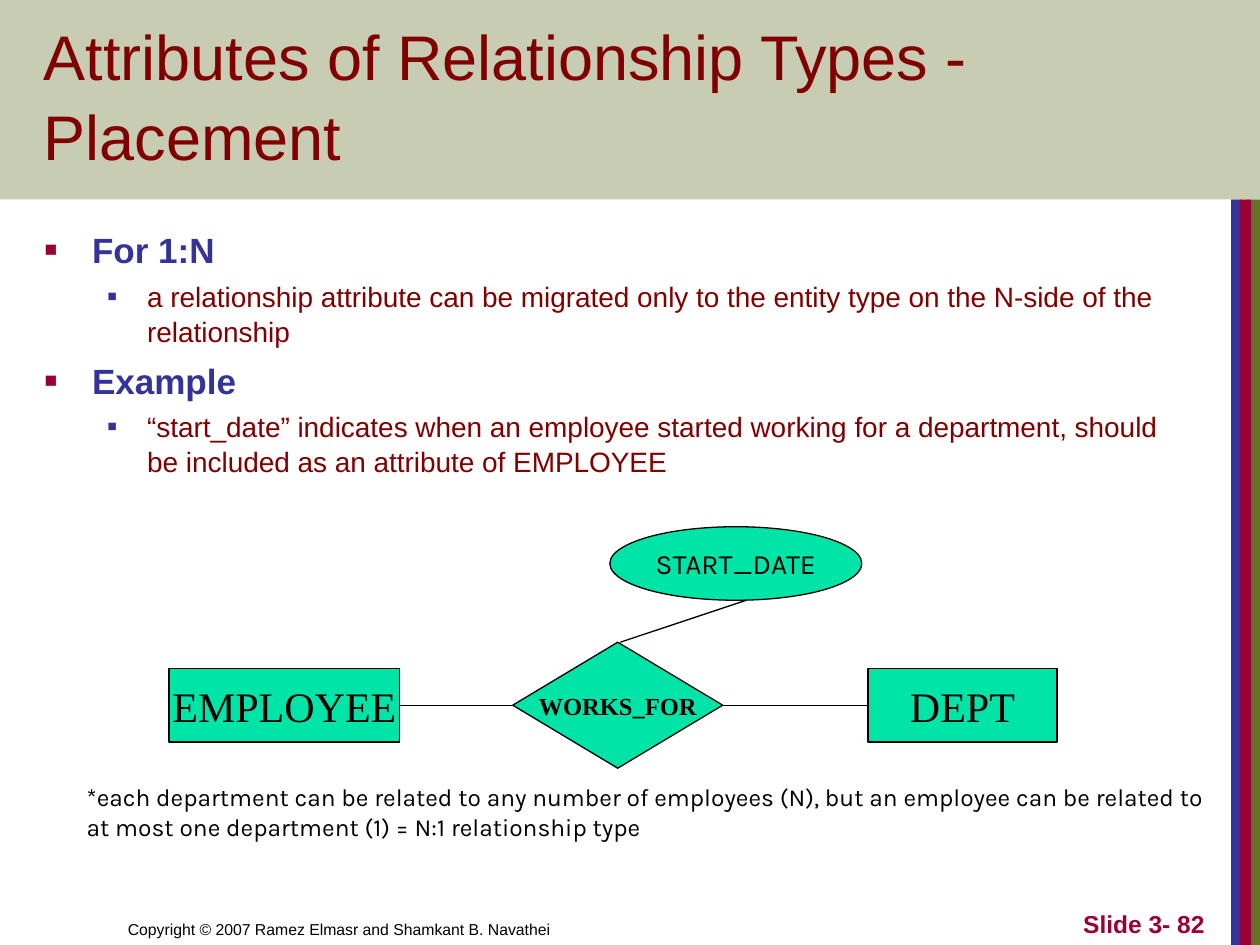
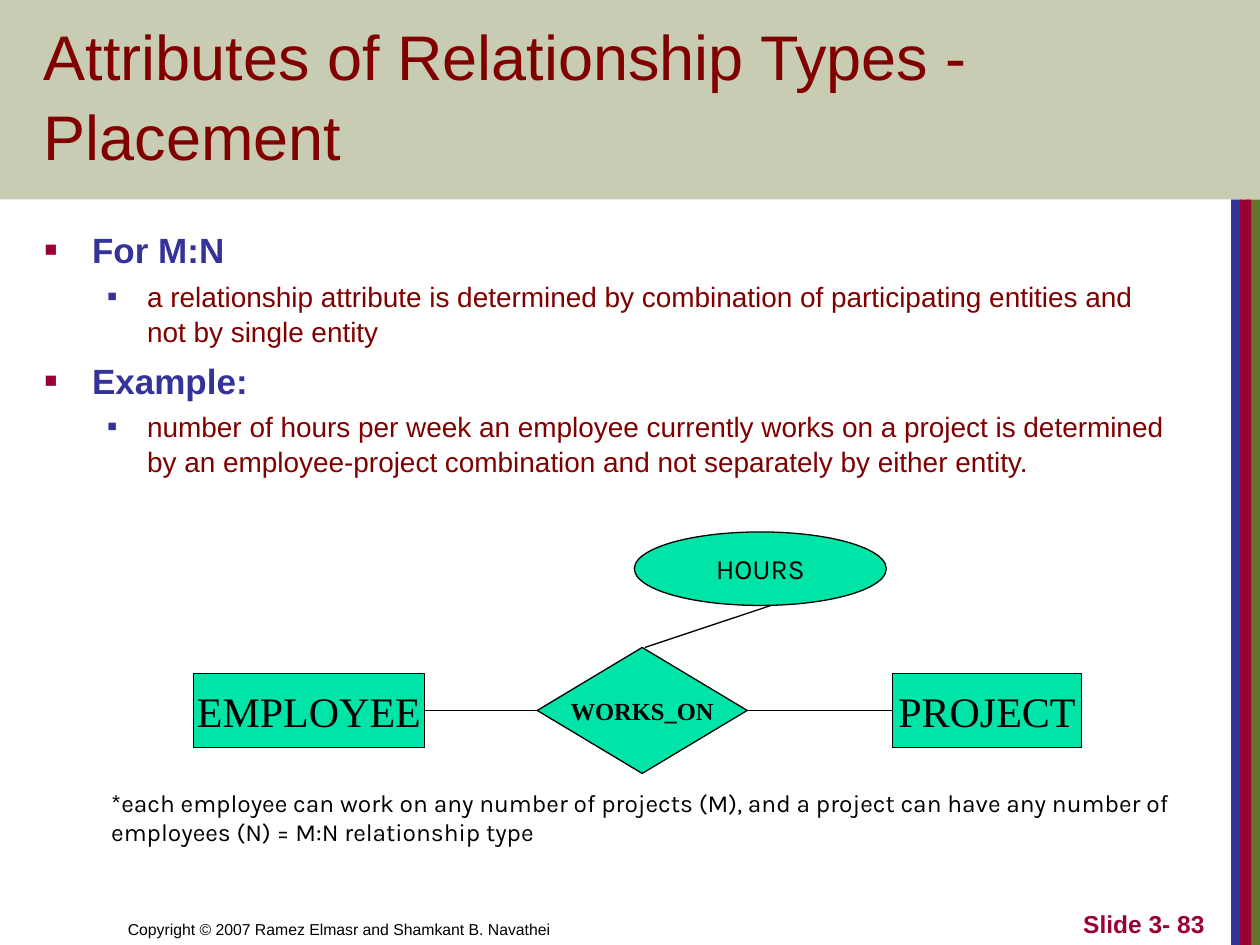
from dataclasses import dataclass

from lxml import etree
from pptx import Presentation
from pptx.dml.color import RGBColor
from pptx.enum.shapes import MSO_CONNECTOR, MSO_SHAPE
from pptx.enum.text import MSO_ANCHOR, PP_ALIGN
from pptx.oxml.ns import qn
from pptx.util import Pt

RECT, OVAL, GEM = MSO_SHAPE.RECTANGLE, MSO_SHAPE.OVAL, MSO_SHAPE.DIAMOND
LINE = MSO_CONNECTOR.STRAIGHT
TOP, MIDDLE, BOTTOM = MSO_ANCHOR.TOP, MSO_ANCHOR.MIDDLE, MSO_ANCHOR.BOTTOM
LEFT, CENTER, RIGHT = PP_ALIGN.LEFT, PP_ALIGN.CENTER, PP_ALIGN.RIGHT


@dataclass(frozen=True)
class Font:
    """Hold the face, size, colour and weight of a text style."""
    face: str
    size: float
    color: str
    bold: bool = False


@dataclass(frozen=True)
class Level:
    """Hold the font, indents, spacing and bullet of a list level."""
    font: Font
    margin: float
    hang: float
    before: float
    color: str
    scale: int


@dataclass(frozen=True)
class Theme:
    """Hold the colours and type styles that the slides share."""
    olive: str = "677228"
    blue: str = "333399"
    red: str = "990033"
    band: str = "C8CCB2"
    mint: str = "00E4A8"
    ink: str = "000000"
    rule: float = 0.75
    lead: float = 1.05
    title: Font = Font("Arial", 36, "800000")
    credit: Font = Font("Arial", 9, "000000")
    number: Font = Font("Arial", 14, "990033", True)
    entity: Font = Font("Times New Roman", 24, "000000")
    link: Font = Font("Times New Roman", 14, "000000", True)
    field: Font = Font("Karla", 16, "000000")
    note: Font = Font("Karla", 14, "000000")
    head: Level = Level(Font("Arial", 20, "333399", True), 27, 27, 5, "990033", 60)
    point: Level = Level(Font("Arial", 16, "800000"), 58.5, 22.5, 4, "333399", 55)


THEME = Theme()
TITLE = "Attributes of Relationship Types - Placement"
CREDIT = "Copyright © 2007 Ramez Elmasr and Shamkant B. Navathei"

SLIDES = [
    dict(
        number=82, shift=(0, 0), left="EMPLOYEE", link="WORKS_FOR",
        right="DEPT", field="START_DATE",
        topics=[
            ("For 1:N", "a relationship attribute can be migrated only to the "
             "entity type on the N-side of the relationship"),
            ("Example", "“start_date” indicates when an employee started working "
             "for a department, should be included as an attribute of EMPLOYEE"),
        ],
        note="*each department can be related to any number of employees (N), but "
             "an employee can be related to at most one department (1) = N:1 "
             "relationship type",
    ),
    dict(
        number=83, shift=(14, 3), left="EMPLOYEE", link="WORKS_ON",
        right="PROJECT", field="HOURS",
        topics=[
            ("For M:N", "a relationship attribute is determined by combination of "
             "participating entities and not by single entity"),
            ("Example:", "number of hours per week an employee currently works on "
             "a project is determined by an employee-project combination and not "
             "separately by either entity."),
        ],
        note="*each employee can work on any number of projects (M), and a project "
             "can have any number of employees (N) = M:N relationship type",
    ),
]


def points(values):
    """Turn plain numbers into point lengths."""
    return [Pt(value) for value in values]


def style(para, font, align=LEFT):
    """Format every run of a paragraph."""
    para.alignment = align
    for run in para.runs:
        run.font.name = font.face
        run.font.size = Pt(font.size)
        run.font.bold = font.bold
        run.font.color.rgb = RGBColor.from_string(font.color)


def add_box(slide, box, anchor=TOP):
    """Add an empty wrapping text box and return its frame."""
    frame = slide.shapes.add_textbox(*points(box)).text_frame
    frame.word_wrap = True
    frame.vertical_anchor = anchor
    return frame


def add_label(slide, box, text, font, anchor=BOTTOM, align=LEFT):
    """Add a text box with one paragraph and return that paragraph."""
    frame = add_box(slide, box, anchor)
    frame.text = text
    para = frame.paragraphs[0]
    style(para, font, align)
    return para


def indent(para, margin, hang=0):
    """Set the left margin and the hanging indent of a paragraph."""
    props = para._p.get_or_add_pPr()
    props.set("marL", str(Pt(margin)))
    props.set("indent", str(-Pt(hang)))
    return props


def add_item(para, text, level):
    """Fill a paragraph as a bulleted item of the given level."""
    para.text = text
    style(para, level.font)
    para.space_before = Pt(level.before)
    para.line_spacing = THEME.lead
    props = indent(para, level.margin, level.hang)
    color = etree.SubElement(props, qn("a:buClr"))
    etree.SubElement(color, qn("a:srgbClr"), val=level.color)
    etree.SubElement(props, qn("a:buSzPct"), val=str(level.scale * 1000))
    etree.SubElement(props, qn("a:buFont"), typeface=level.font.face)
    etree.SubElement(props, qn("a:buChar"), char="■")


def add_list(slide, topics):
    """Add the headings, each with its point below."""
    frame = add_box(slide, (18.5, 126, 653, 360))
    frame.margin_right = 0
    para = frame.paragraphs[0]
    for row, (head, point) in enumerate(topics):
        if row:
            para = frame.add_paragraph()
        add_item(para, head, THEME.head)
        add_item(frame.add_paragraph(), point, THEME.point)


def add_block(slide, kind, box, fill):
    """Add a plain filled shape without outline."""
    shape = slide.shapes.add_shape(kind, *points(box))
    shape.shadow.inherit = False
    shape.fill.solid()
    shape.fill.fore_color.rgb = RGBColor.from_string(fill)
    shape.line.fill.background()
    return shape


def draw_rule(line):
    """Give a line or outline the diagram's pen."""
    line.width = Pt(THEME.rule)
    line.color.rgb = RGBColor.from_string(THEME.ink)


def add_node(slide, kind, box, text, font):
    """Add an outlined diagram shape with a centred name."""
    shape = add_block(slide, kind, box, THEME.mint)
    draw_rule(shape.line)
    frame = shape.text_frame
    frame.word_wrap = False
    frame.vertical_anchor = MIDDLE
    frame.text = text
    style(frame.paragraphs[0], font, CENTER)


def add_edge(slide, *ends):
    """Join two points of the diagram with a line."""
    edge = slide.shapes.add_connector(LINE, *points(ends))
    draw_rule(edge.line)
    etree.SubElement(edge._element.spPr, qn("a:effectLst"))


def add_frame(slide, number):
    """Add the stripes, band, title and footers."""
    for left, width, color in ((712, 8, THEME.olive), (703.5, 6.5, THEME.blue),
                               (708.5, 6.5, THEME.red)):
        add_block(slide, RECT, (left, 114, width, 426), color)
    add_block(slide, RECT, (0, 0, 720, 114), THEME.band)
    add_label(slide, (66, 504, 354, 36), CREDIT, THEME.credit)
    title = add_label(slide, (18, 23.75, 614, 78.5), TITLE, THEME.title)
    title.line_spacing = THEME.lead
    add_label(slide, (546, 504, 149.5, 36), f"Slide 3- {number}", THEME.number,
              align=RIGHT)


def add_diagram(slide, data):
    """Add the entities, their relationship, its attribute and the note."""
    dx, dy = data["shift"]
    mid = 403 + dy
    left, link, right = 96.5 + dx, 293 + dx, 496 + dx
    add_node(slide, RECT, (left, mid - 21, 132, 42), data["left"], THEME.entity)
    add_node(slide, RECT, (right, mid - 21, 108, 42), data["right"], THEME.entity)
    add_node(slide, GEM, (link, mid - 36, 120, 72), data["link"], THEME.link)
    add_edge(slide, left + 132, mid, link, mid)
    add_edge(slide, link + 120, mid, right, mid)
    add_node(slide, OVAL, (348.5 + dx, mid - 102, 144, 42), data["field"],
             THEME.field)
    add_edge(slide, link + 61.5, mid - 36, link + 133.5, mid - 60)
    note = add_label(slide, (6.5 + dx, mid + 40.5, 692, 41), data["note"],
                     THEME.note, TOP)
    indent(note, 36)


def main():
    """Build both slides and save the file."""
    deck = Presentation()
    deck.slide_width, deck.slide_height = Pt(720), Pt(540)
    for data in SLIDES:
        slide = deck.slides.add_slide(deck.slide_layouts[6])
        add_frame(slide, data["number"])
        add_list(slide, data["topics"])
        add_diagram(slide, data)
    deck.save("out.pptx")


if __name__ == "__main__":
    main()
